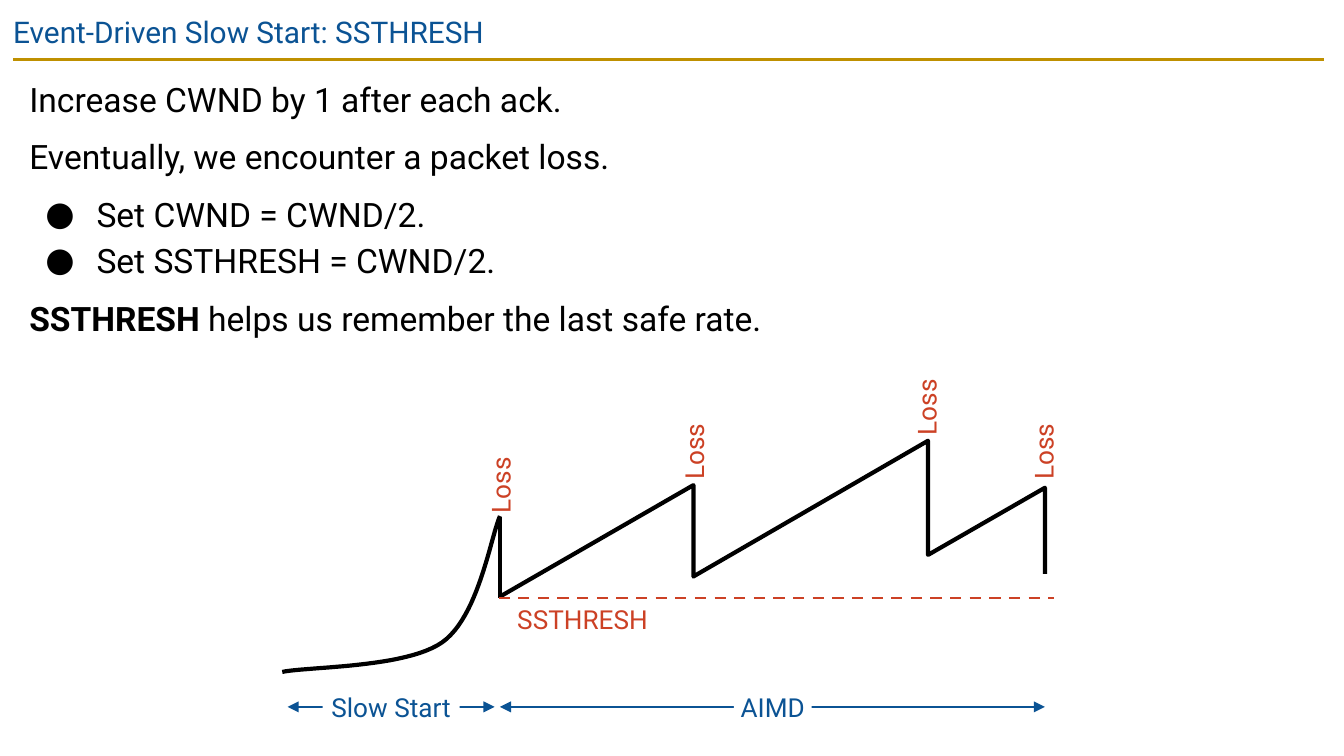
from lxml.etree import SubElement
from pptx import Presentation
from pptx.dml.color import RGBColor
from pptx.enum.dml import MSO_LINE
from pptx.enum.shapes import MSO_CONNECTOR, MSO_SHAPE
from pptx.enum.text import MSO_ANCHOR, MSO_AUTO_SIZE, PP_ALIGN
from pptx.oxml.ns import qn
from pptx.util import Emu, Pt

EMU_PER_PX = 4572  # 200 px to the inch
FONT = "Roboto"
LABEL_HEIGHT = 48
COLORS = {
    "black": "000000",
    "white": "FFFFFF",
    "blue": "0B5394",
    "red": "CC4125",
    "gold": "BF9000",
}


def px(length):
    return Emu(round(length * EMU_PER_PX))


def color(name):
    return RGBColor.from_string(COLORS[name])


def set_font(paragraph, size, color_name):
    paragraph.font.name = FONT
    paragraph.font.size = Pt(size)
    paragraph.font.color.rgb = color(color_name)


def set_frame(frame, inset):
    frame.word_wrap = True
    frame.vertical_anchor = MSO_ANCHOR.TOP
    frame.margin_left = frame.margin_right = px(inset)
    frame.margin_top = frame.margin_bottom = px(inset)


def add_text_box(slide, left, top, width, height, inset=0):
    box = slide.shapes.add_textbox(px(left), px(top), px(width), px(height))
    set_frame(box.text_frame, inset)
    return box


def add_title(slide, text):
    title = add_text_box(slide, 0, 0, 1864, 86, inset=20)
    paragraph = title.text_frame.paragraphs[0]
    paragraph.text = text
    set_font(paragraph, 16, "blue")


def add_bullet(paragraph):
    properties = paragraph._p.get_or_add_pPr()
    properties.set("marL", str(px(100)))
    properties.set("indent", str(px(-76)))
    SubElement(properties, qn("a:buFont")).set("typeface", FONT)
    SubElement(properties, qn("a:buChar")).set("char", "●")


def add_body(slide, lines):
    """Each line is (bold lead, text, bulleted, space before)."""
    frame = add_text_box(slide, 24, 88, 1948, 444, inset=20).text_frame
    for index, (lead, text, bulleted, space) in enumerate(lines):
        paragraph = frame.add_paragraph() if index else frame.paragraphs[0]
        if lead:
            run = paragraph.add_run()
            run.text = lead
            run.font.bold = True
        paragraph.add_run().text = text
        paragraph.line_spacing = 1.15
        paragraph.space_before = Pt(space)
        set_font(paragraph, 18, "black")
        if bulleted:
            add_bullet(paragraph)


def write_label(label, text, color_name, align):
    label.text_frame.auto_size = MSO_AUTO_SIZE.SHAPE_TO_FIT_TEXT
    paragraph = label.text_frame.paragraphs[0]
    paragraph.text = text
    paragraph.alignment = align
    set_font(paragraph, 14, color_name)


def add_graph_label(slide, text, left, top, width, align, rotation=0):
    label = add_text_box(slide, left, top, width, LABEL_HEIGHT)
    label.rotation = rotation
    write_label(label, text, "red", align)


def add_line(slide, start, end, color_name, weight, dashed=False, arrows=False):
    line = slide.shapes.add_connector(
        MSO_CONNECTOR.STRAIGHT, *map(px, start + end))
    line.line.color.rgb = color(color_name)
    line.line.width = Pt(weight)
    if dashed:
        line.line.dash_style = MSO_LINE.DASH
    if arrows:
        for tag in ("a:headEnd", "a:tailEnd"):
            SubElement(line.line._get_or_add_ln(), qn(tag)).set("type", "triangle")
    SubElement(line._element.spPr, qn("a:effectLst"))


def add_phase(slide, name, start, end, label_left, label_width):
    add_line(slide, (start, 1052), (end, 1052), "blue", 0.75, arrows=True)
    label = slide.shapes.add_shape(
        MSO_SHAPE.RECTANGLE, px(label_left), px(1029), px(label_width), px(LABEL_HEIGHT))
    label.shadow.inherit = False
    label.fill.solid()
    label.fill.fore_color.rgb = color("white")
    label.line.fill.background()
    set_frame(label.text_frame, 0)
    write_label(label, name, "blue", PP_ALIGN.CENTER)


def add_trace(slide, points):
    start, *rest = [(px(x), px(y)) for x, y in points]
    builder = slide.shapes.build_freeform(*start, scale=1.0)
    builder.add_line_segments(rest, close=False)
    trace = builder.convert_to_shape()
    trace.shadow.inherit = False
    trace.fill.background()
    trace.line.color.rgb = color("black")
    trace.line.width = Pt(2.25)


def bezier(p0, p1, p2, p3, steps=24):
    """Points along a cubic curve, without its first point."""
    for step in range(1, steps + 1):
        t = step / steps
        u = 1 - t
        yield tuple(u**3 * a + 3 * u * u * t * b + 3 * u * t * t * c + t**3 * d
                    for a, b, c, d in zip(p0, p1, p2, p3))


def main():
    deck = Presentation()
    deck.slide_width, deck.slide_height = px(2000), px(1125)
    slide = deck.slides.add_slide(deck.slide_layouts[6])

    # Heading and text
    add_line(slide, (20, 89), (1970, 89), "gold", 1.5)
    add_title(slide, "Event-Driven Slow Start: SSTHRESH")
    add_body(slide, [
        ("", "Increase CWND by 1 after each ack.", False, 6),
        ("", "Eventually, we encounter a packet loss.", False, 6),
        ("", "Set CWND = CWND/2.", True, 6),
        ("", "Set SSTHRESH = CWND/2.", True, 0),
        ("SSTHRESH", " helps us remember the last safe rate.", False, 6),
    ])

    # Loss labels, turned to read upwards
    for left, top in [(694, 689), (982, 639), (1328, 573), (1502, 639)]:
        add_graph_label(slide, "Loss", left, top, 102, PP_ALIGN.LEFT, rotation=270)

    # Slow start curve, then the AIMD sawtooth
    curve_start, knee, first_peak = (420, 1000), (658, 956), (744, 768)
    add_trace(slide, [
        curve_start,
        *bezier(curve_start, (460, 992), (604, 994), knee),
        *bezier(knee, (712, 918), (730, 800), first_peak),
    ])
    add_line(slide, (744, 770), (744, 890), "black", 2.25)
    add_trace(slide, [(744, 888), (1032, 722), (1032, 858), (1381, 656),
                      (1381, 826), (1555, 726), (1555, 854)])

    # Phases below the graph
    add_phase(slide, "Slow Start", 428, 736, 480, 204)
    add_phase(slide, "AIMD", 744, 1555, 1092, 116)

    # Threshold
    add_line(slide, (742, 890), (1568, 890), "red", 1.5, dashed=True)
    add_graph_label(slide, "SSTHRESH", 742, 898, 250, PP_ALIGN.CENTER)

    deck.save("out.pptx")


if __name__ == "__main__":
    main()
